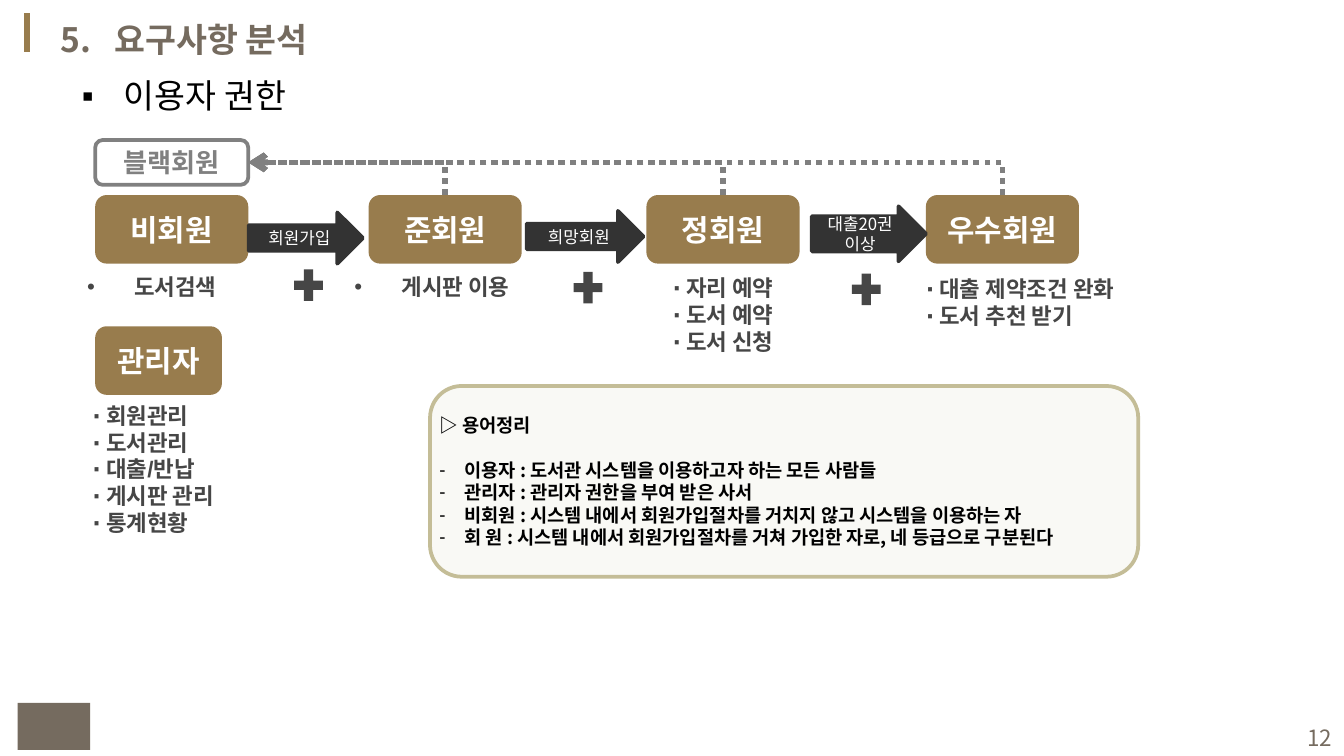
"""Build the user rights slide of the library system deck."""
import dataclasses
import typing

import lxml.etree
import pptx
import pptx.dml.color
import pptx.enum.dml
import pptx.enum.shapes
import pptx.enum.text
import pptx.oxml.ns
import pptx.util

Pt = pptx.util.Pt
qn = pptx.oxml.ns.qn
KIND = pptx.enum.shapes.MSO_SHAPE
LINK = pptx.enum.shapes.MSO_CONNECTOR
ALIGN = pptx.enum.text.PP_ALIGN
ANCHOR = pptx.enum.text.MSO_ANCHOR
NOTO = "Noto Sans CJK KR"
HUE = {"gold": "987C4D", "taupe": "756B5F", "gray": "808080", "dark": "333333",
       "text": "464646", "sand": "C4BD97", "cream": "EEECE1", "white": "FFFFFF",
       "black": "000000"}


class Box(typing.NamedTuple):
    x: float
    y: float
    w: float
    h: float


@dataclasses.dataclass
class Style:
    size: float
    hue: str
    bold: bool = True
    font: str = NOTO
    align: typing.Any = ALIGN.LEFT
    anchor: typing.Any = ANCHOR.TOP
    inset: bool = True
    mark: str = ""
    margin: float = 0
    indent: float = 0


class Member(typing.NamedTuple):
    name: str
    x: float
    w: float = 82


class Step(typing.NamedTuple):
    text: str
    box: Box
    plus: Box


class Rights(typing.NamedTuple):
    box: Box
    lines: list
    style: Style


def tint(name: str) -> pptx.dml.color.RGBColor:
    return pptx.dml.color.RGBColor.from_string(HUE[name])


def add_par(frame, text: str, look: Style, first: bool) -> None:
    par = frame.paragraphs[0] if first else frame.add_paragraph()
    par.alignment = look.align
    par.line_spacing = Pt(round(look.size * 1.2, 1))
    par.space_before = Pt(0)
    props = par._p.get_or_add_pPr()
    if look.margin:
        props.set("marL", str(Pt(look.margin)))
        props.set("indent", str(Pt(look.indent)))
    if look.mark:
        lxml.etree.SubElement(props, qn("a:buFont"), typeface="Arial")
        lxml.etree.SubElement(props, qn("a:buChar"), char=look.mark)
    run = par.add_run()
    run.text = text
    font = run.font
    font.size, font.name, font.bold = Pt(look.size), look.font, look.bold
    font.color.rgb = tint(look.hue)
    lxml.etree.SubElement(run._r.rPr, qn("a:ea"), typeface=NOTO)


def write(shape, lines: list, look: Style) -> None:
    frame = shape.text_frame
    frame.word_wrap = True
    frame.auto_size = pptx.enum.text.MSO_AUTO_SIZE.NONE
    frame.vertical_anchor = look.anchor
    if not look.inset:
        frame.margin_left = frame.margin_right = Pt(0)
        frame.margin_top = frame.margin_bottom = Pt(0)
    for i, line in enumerate(lines):
        add_par(frame, line, look, i == 0)


def place(shape, box: Box) -> None:
    shape.left, shape.top, shape.width, shape.height = map(Pt, box)


def add_text(slide, box: Box, lines: list, look: Style) -> None:
    write(slide.shapes.add_textbox(*map(Pt, box)), lines, look)


def add_form(slide, kind, box: Box, fill: str = "", edge: str = ""):
    form = slide.shapes.add_shape(kind, *map(Pt, box))
    form.shadow.inherit = False
    if fill:
        form.fill.solid()
        form.fill.fore_color.rgb = tint(fill)
    else:
        form.fill.background()
    if edge:
        form.line.color.rgb = tint(edge)
        form.line.width = Pt(2)
    else:
        form.line.fill.background()
    return form


def add_line(slide, kind, ends: tuple, hue: str):
    line = slide.shapes.add_connector(kind, *map(Pt, ends))
    line.line.color.rgb = tint(hue)
    line.line.width = Pt(3)
    lxml.etree.SubElement(line._element.spPr, qn("a:effectLst"))
    return line


def add_bend(slide, x: float, y: float, to_x: float, to_y: float) -> None:
    wide, high = x - to_x, y - to_y
    left, top = (x + to_x - high) / 2, (y + to_y - wide) / 2
    bend = add_line(slide, LINK.ELBOW, (left, top, left + high, top + wide), "gray")
    bend.line.dash_style = pptx.enum.dml.MSO_LINE.ROUND_DOT
    props = bend._element.spPr
    props.find(qn("a:prstGeom")).set("prst", "bentConnector2")
    frame = props.find(qn("a:xfrm"))
    frame.set("rot", "16200000")
    frame.set("flipV", "1")
    lxml.etree.SubElement(props.find(qn("a:ln")), qn("a:tailEnd"), type="arrow")


def main() -> None:
    deck = pptx.Presentation()
    deck.slide_width, deck.slide_height = Pt(720), Pt(405)
    slide = deck.slides.add_slide(deck.slide_layouts[1])
    title, body = slide.placeholders
    place(title, Box(25.2, 6.5, 200, 28.8))
    write(title, ["5.\t요구사항 분석"], Style(18, "taupe", margin=29, indent=-29))
    place(body, Box(36.7, 36.7, 150, 28.8))
    write(body, ["이용자 권한"],
          Style(18, "black", False, mark="▪", margin=22.5, indent=-22.5))

    add_line(slide, LINK.STRAIGHT, (14.4, 7.2, 14.4, 28.1), "gold")
    add_form(slide, KIND.RECTANGLE, Box(9.4, 376.6, 38.9, 25.2), "taupe")
    add_text(slide, Box(553, 384.5, 167.8, 21.6), ["12"],
             Style(12, "taupe", False, align=ALIGN.RIGHT, anchor=ANCHOR.MIDDLE))

    mid = {"align": ALIGN.CENTER, "anchor": ANCHOR.MIDDLE}
    head = Style(16, "white", **mid)
    members = [Member("비회원", 51), Member("준회원", 197.5),
               Member("정회원", 346.3), Member("우수회원", 496)]
    for who in members:
        form = add_form(slide, KIND.ROUNDED_RECTANGLE, Box(who.x, 104.5, who.w, 36.7), "gold")
        write(form, [who.name], head)
    admin = add_form(slide, KIND.ROUNDED_RECTANGLE, Box(51, 174.8, 67.9, 36.7), "gold")
    write(admin, ["관리자"], head)
    black = add_form(slide, KIND.ROUNDED_RECTANGLE, Box(51, 75, 82, 24), edge="gray")
    write(black, ["블랙회원"], Style(14, "gray", **mid))
    for who in members[1:]:
        add_bend(slide, who.x + who.w / 2, 104.5, 133, 87)

    steps = [Step("회원가입", Box(133.2, 113.8, 61.2, 27.4), Box(154.8, 141.3, 20.9, 23)),
             Step("희망회원", Box(282.2, 113, 62.6, 27.4), Box(304.6, 142.6, 20.9, 23)),
             Step("대출20권 이상", Box(434.9, 110.5, 61.2, 29.5), Box(453.6, 143.5, 20.9, 23))]
    for step in steps:
        arrow = add_form(slide, KIND.RIGHT_ARROW, step.box, "dark", "dark")
        write(arrow, [step.text], Style(9, "white", False, **mid))
        add_form(slide, KIND.MATH_PLUS, step.plus, "text")
    arrow.adjustments[0] = 0.64

    plain = Style(12, "text", font="Arial")
    center = dataclasses.replace(plain, align=ALIGN.CENTER)
    dot = dataclasses.replace(center, mark="•", margin=22.5, indent=-22.5)
    rights = [
        Rights(Box(25.2, 143, 112.3, 21.6), [" 도서검색"], dot),
        Rights(Box(167, 143, 128.9, 21.6), [" 게시판 이용"], dot),
        Rights(Box(326.9, 143.3, 121, 52.6), ["∙ 자리 예약", "∙ 도서 예약", "∙ 도서 신청"], center),
        Rights(Box(488.9, 143.8, 166.3, 36.7), ["∙ 대출 제약조건 완화", "∙ 도서 추천 받기"], plain),
        Rights(Box(42.5, 211.7, 112.3, 79.9), ["∙ 회원관리", "∙ 도서관리", "∙ 대출/반납",
                                               "∙ 게시판 관리", "∙ 통계현황"], plain)]
    for item in rights:
        add_text(slide, *item)

    note = add_form(slide, KIND.ROUNDED_RECTANGLE, Box(230.4, 206.8, 379.4, 102.2), "cream", "sand")
    shade = note._element.spPr.find(qn("a:solidFill"))[0]
    lxml.etree.SubElement(shade, qn("a:alpha"), val="30000")
    look = Style(10, "black", anchor=ANCHOR.MIDDLE, inset=False)
    write(note, ["▷ 용어정리"], look)
    note.text_frame.paragraphs[0].space_after = Pt(12)
    terms = ["이용자 : 도서관 시스템을 이용하고자 하는 모든 사람들",
             "관리자 : 관리자 권한을 부여 받은 사서",
             "비회원 : 시스템 내에서 회원가입절차를 거치지 않고 시스템을 이용하는 자",
             "회 원 : 시스템 내에서 회원가입절차를 거쳐 가입한 자로, 네 등급으로 구분된다"]
    item = dataclasses.replace(look, mark="-", margin=13.5, indent=-13.5)
    for term in terms:
        add_par(note.text_frame, term, item, False)
    deck.save("out.pptx")


main()
